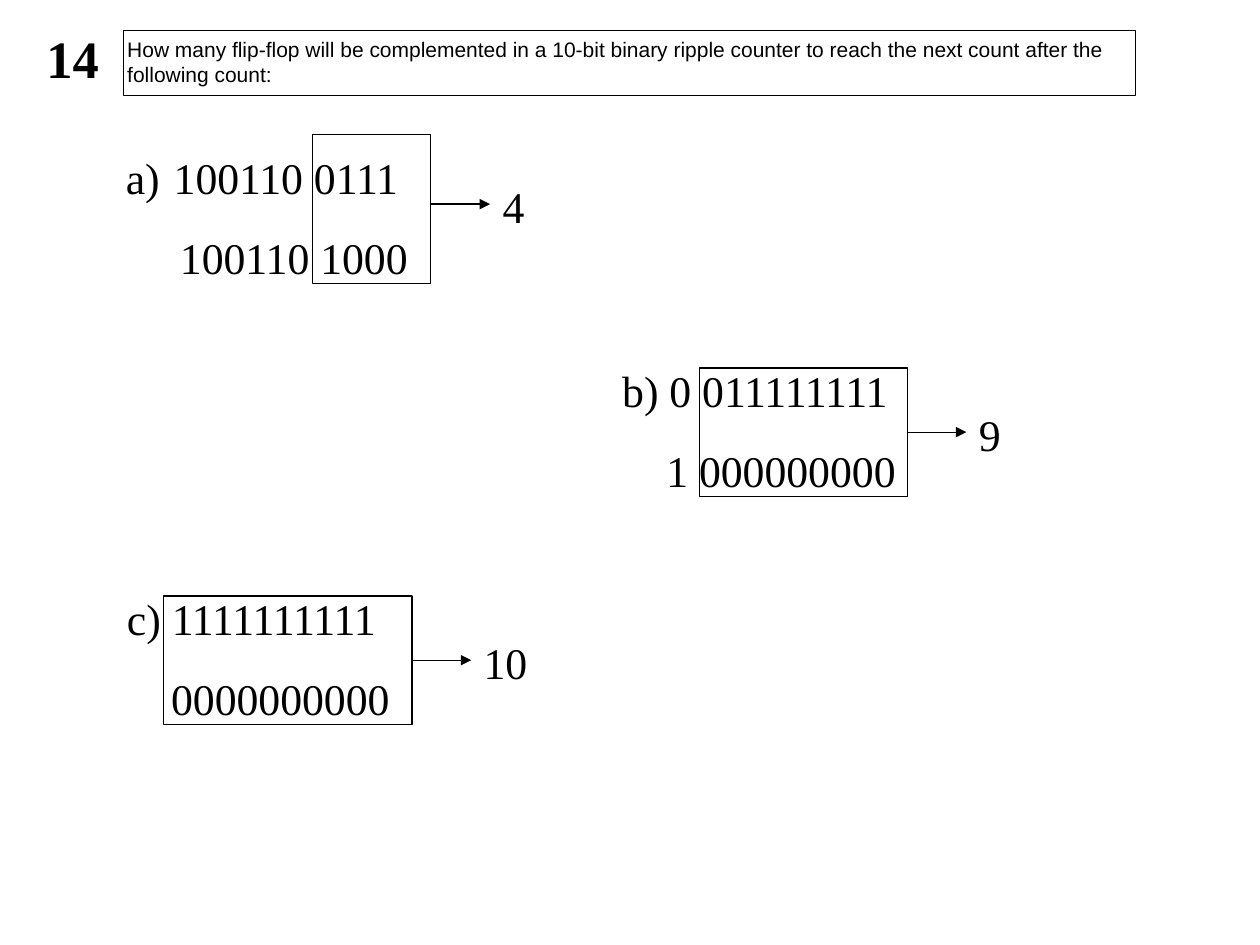
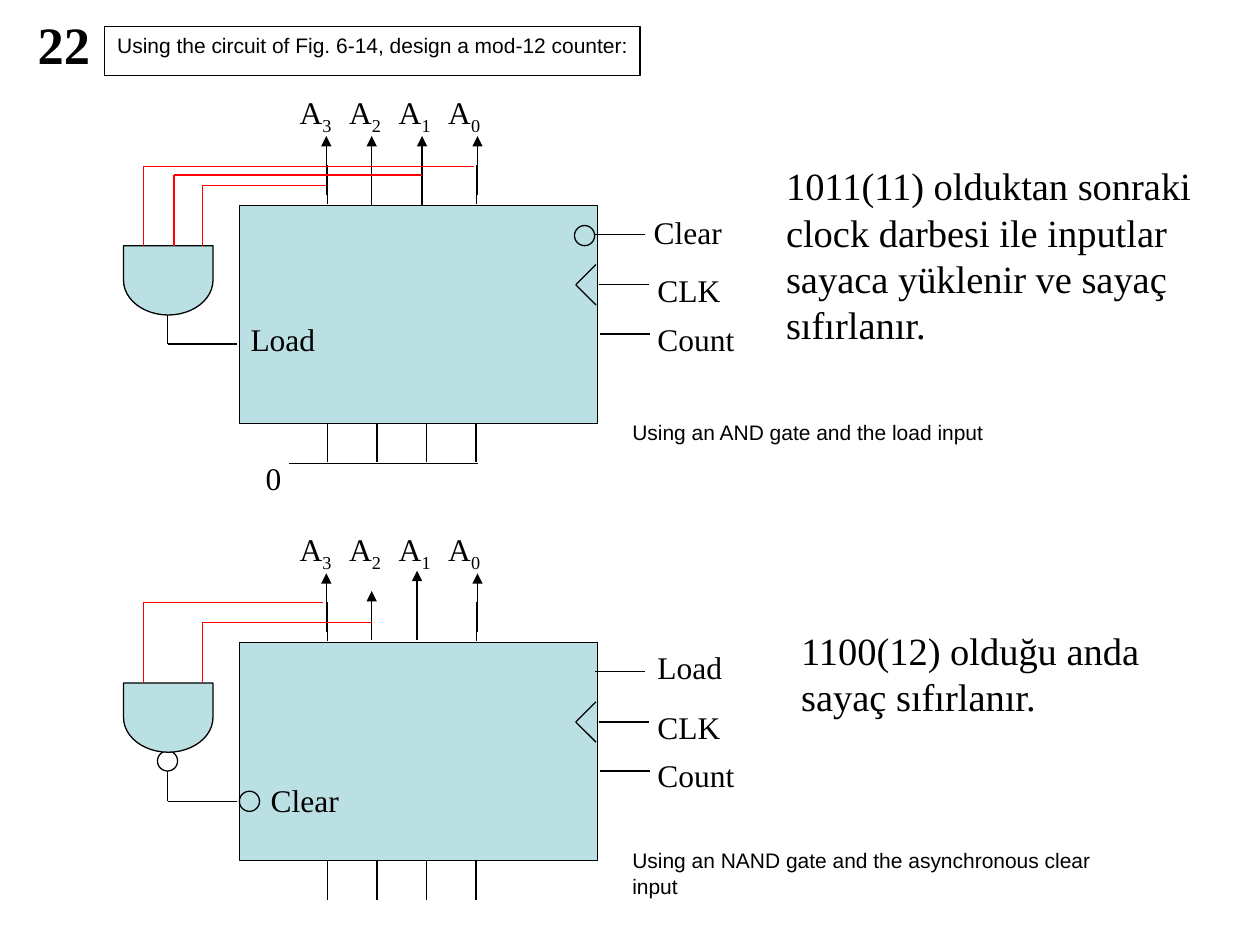
from dataclasses import dataclass
from itertools import pairwise

from lxml.etree import SubElement
from pptx import Presentation
from pptx.dml.color import RGBColor
from pptx.enum.shapes import MSO_CONNECTOR, MSO_SHAPE
from pptx.enum.text import MSO_ANCHOR, MSO_AUTO_SIZE, PP_ALIGN
from pptx.oxml.ns import qn
from pptx.util import Inches, Pt


@dataclass(frozen=True)
class Theme:
    ink: RGBColor = RGBColor(0, 0, 0)
    feed: RGBColor = RGBColor(255, 0, 0)
    block: RGBColor = RGBColor(0xBB, 0xE0, 0xE3)
    serif: str = "Times New Roman"
    sans: str = "Arial"
    number: float = 30
    count: float = 25
    note: float = 22
    label: float = 18
    question: float = 12
    line: float = 0.75


THEME = Theme()
PIN_STEP = 0.393


def inches(*values):
    return [Inches(v) for v in values]


def format_runs(p, size, font, bold=False):
    for r in p.runs:
        r.font.size = Pt(size)
        r.font.name = font
        r.font.bold = bold
        r.font.color.rgb = THEME.ink


def add_text(s, box, text, size, font=THEME.serif, bold=False):
    tf = s.shapes.add_textbox(*inches(*box)).text_frame
    tf.word_wrap = True
    tf.text = text
    for p in tf.paragraphs:
        format_runs(p, size, font, bold)
    return tf


def add_block(s, kind, box, fill=None):
    sp = s.shapes.add_shape(kind, *inches(*box))
    sp.shadow.inherit = False
    if fill is None:
        sp.fill.background()
    else:
        sp.fill.solid()
        sp.fill.fore_color.rgb = fill
    sp.line.color.rgb = THEME.ink
    sp.line.width = Pt(THEME.line)
    return sp


def add_line(s, start, end, color=THEME.ink, arrow=False):
    line = s.shapes.add_connector(MSO_CONNECTOR.STRAIGHT, *inches(*start, *end))
    line.line.color.rgb = color
    line.line.width = Pt(THEME.line)
    if arrow:
        SubElement(line.line._get_or_add_ln(), qn("a:tailEnd"), type="triangle")
    SubElement(line._element.spPr, qn("a:effectLst"))
    return line


def add_wire(s, points, color=THEME.ink):
    for start, end in pairwise(points):
        add_line(s, start, end, color)


def add_question(prs, number, number_at, text, box, inset):
    s = prs.slides.add_slide(prs.slide_layouts[5])
    add_text(s, (*number_at, 0.71, 0.6), number, THEME.number, bold=True)
    title = s.shapes.title
    title.left, title.top, title.width, title.height = inches(*box)
    title.line.color.rgb = THEME.ink
    title.line.width = Pt(THEME.line)
    tf = title.text_frame
    tf.text = text
    tf.word_wrap = True
    tf.auto_size = MSO_AUTO_SIZE.NONE
    tf.vertical_anchor = MSO_ANCHOR.TOP
    tf.margin_left, tf.margin_right, tf.margin_top = inches(inset, 0, 0.05)
    tf.paragraphs[0].alignment = PP_ALIGN.LEFT
    format_runs(tf.paragraphs[0], THEME.question, THEME.sans)
    return s


def add_count(s, at, width, counts, indent, changed, arrow_y, answer, numbered=False):
    tf = add_text(s, (*at, width, 1.15), "\n".join(counts), THEME.count)
    first, second = tf.paragraphs
    second.space_before = Pt(15.6)
    second._p.get_or_add_pPr().set("marL", str(Inches(indent)))
    if numbered:
        pPr = first._p.get_or_add_pPr()
        pPr.set("marL", str(Inches(0.38)))
        pPr.set("indent", str(Inches(-0.38)))
        SubElement(pPr, qn("a:buFont"), typeface=THEME.serif)
        SubElement(pPr, qn("a:buAutoNum"), type="alphaLcParenR")
    left, top, box_width, box_height = changed
    sp = add_block(s, MSO_SHAPE.RECTANGLE, changed)
    right = left + box_width
    arrow = add_line(s, (right, arrow_y), (right + 0.47, arrow_y), arrow=True)
    if abs(top + box_height / 2 - arrow_y) < 0.01:
        arrow.begin_connect(sp, 3)
    add_text(s, (right + 0.47, arrow_y - 0.24, 0.87, 0.52), answer, THEME.count)


def add_gate(s, x, y, feeds, output_y, load_y):
    gate = add_block(s, MSO_SHAPE.FLOWCHART_DELAY,
                     (x - 0.84, y + 0.24, 0.55, 0.71), THEME.block)
    gate.rotation = 90
    for feed_x, feed_y, end_x in feeds:
        add_wire(s, [(x + feed_x, y + 0.32), (x + feed_x, y + feed_y),
                     (x + end_x, y + feed_y)], THEME.feed)
    add_wire(s, [(x - 0.57, y + output_y), (x - 0.57, y + load_y),
                 (x - 0.02, y + load_y)])


def add_counter(s, x, y, side_labels, inner_label, inner_at, bubbles, inner_arrows):
    add_block(s, MSO_SHAPE.RECTANGLE, (x, y, 2.84, 1.73), THEME.block)
    for i in range(4):
        pin_x = x + 0.7 + i * PIN_STEP
        add_line(s, (pin_x, y + 1.73), (pin_x, y + 2.04))
        tf = add_text(s, (x + 0.38 + i * PIN_STEP, y - 0.94, 0.71, 0.44),
                      "A", THEME.label)
        p = tf.paragraphs[0]
        r = p.add_run()
        r.text = str(3 - i)
        format_runs(p, THEME.label, THEME.serif)
        r._r.get_or_add_rPr().set("baseline", "-25000")

    for stub_x, arrow_x in ((0.7, 0.69), (1.88, 1.89)):
        add_line(s, (x + stub_x, y - 0.32), (x + stub_x, y - 0.01))
        add_line(s, (x + arrow_x, y - 0.08), (x + arrow_x, y - 0.55), arrow=True)
    for arrow_x, start_y, end_y in inner_arrows:
        add_line(s, (x + arrow_x, y + start_y), (x + arrow_x, y + end_y), arrow=True)

    for pin_x, pin_y in ((2.82, 0.23), (2.85, 0.63), (2.86, 1.02)):
        add_line(s, (x + pin_x, y + pin_y), (x + pin_x + 0.4, y + pin_y))
    for text, (label_x, label_y) in side_labels.items():
        add_text(s, (x + label_x, y + label_y, 0.83, 0.4), text, THEME.label)
    add_wire(s, [(x + 2.83, y + 0.47), (x + 2.67, y + 0.63), (x + 2.83, y + 0.79)])

    add_text(s, (x + inner_at[0], y + inner_at[1], 0.83, 0.4), inner_label, THEME.label)
    for bubble_x, bubble_y in bubbles:
        add_block(s, MSO_SHAPE.FLOWCHART_CONNECTOR,
                  (x + bubble_x, y + bubble_y, 0.16, 0.16))


def add_zero_input(s, x, y):
    add_line(s, (x + 1.89, y + 2.05), (x + 0.39, y + 2.05))
    add_text(s, (x + 0.11, y + 1.96, 0.87, 0.4), "0", THEME.label)


def ripple_slide(prs):
    s = add_question(
        prs, "14", (0.27, 0.16),
        "How many flip-flop will be complemented in a 10-bit binary ripple counter "
        "to reach the next count after the following count:",
        (0.98, 0.24, 8.03, 0.52), 0.03)
    add_count(s, (0.9, 1.15), 4.41, ("100110 0111", "100110 1000"), 0.43,
              (2.48, 1.07, 0.94, 1.18), 1.62, "4", numbered=True)
    add_count(s, (4.84, 2.84), 3.46, ("b) 0 011111111", "1 000000000"), 0.35,
              (5.55, 2.92, 1.65, 1.02), 3.43, "9")
    add_count(s, (0.91, 4.65), 3.46, ("c) 1111111111", "0000000000"), 0.35,
              (1.3, 4.73, 1.97, 1.02), 5.24, "10")


def mod_slide(prs):
    s = add_question(prs, "22", (0.2, 0.05),
                     "Using the circuit of Fig. 6-14, design a mod-12 counter:",
                     (0.83, 0.21, 4.25, 0.39), 0.1)
    x, load_y, clear_y = 1.9, 1.63, 5.1

    add_counter(s, x, load_y,
                {"Clear": (3.19, 0.01), "CLK": (3.22, 0.47), "Count": (3.22, 0.86)},
                "Load", (-0.01, 0.86), [(2.66, 0.16)],
                [(1.05, 0, -0.55), (1.45, 0, -0.55)])
    add_gate(s, x, load_y,
             [(-0.29, -0.16, 0.69), (-0.52, -0.24, 1.45), (-0.76, -0.31, 1.86)],
             0.87, 1.1)
    add_zero_input(s, x, load_y)
    add_text(s, (6.14, 1.24, 3.98, 1.57),
             "1011(11) olduktan sonraki clock darbesi ile inputlar sayaca yüklenir "
             "ve sayaç sıfırlanır.", THEME.note)
    add_text(s, (4.92, 3.28, 3.94, 0.3), "Using an AND gate and the load input",
             THEME.question, THEME.sans)

    add_counter(s, x, clear_y,
                {"Load": (3.22, -0.01), "CLK": (3.22, 0.47), "Count": (3.22, 0.85)},
                "Clear", (0.15, 1.05), [(0, 1.18), (-0.65, 0.86)],
                [(1.05, -0.02, -0.41), (1.41, -0.02, -0.57)])
    add_gate(s, x, clear_y, [(-0.29, -0.16, 1.05), (-0.76, -0.32, 0.66)], 1.02, 1.26)
    add_text(s, (6.26, 4.93, 3.31, 0.84), "1100(12) olduğu anda sayaç sıfırlanır.",
             THEME.note)
    add_text(s, (4.92, 6.68, 3.94, 0.5),
             "Using an NAND gate and the asynchronous clear input",
             THEME.question, THEME.sans)


def main():
    prs = Presentation()
    prs.slide_width, prs.slide_height = inches(10, 7.5)
    ripple_slide(prs)
    mod_slide(prs)
    prs.save("out.pptx")


if __name__ == "__main__":
    main()
